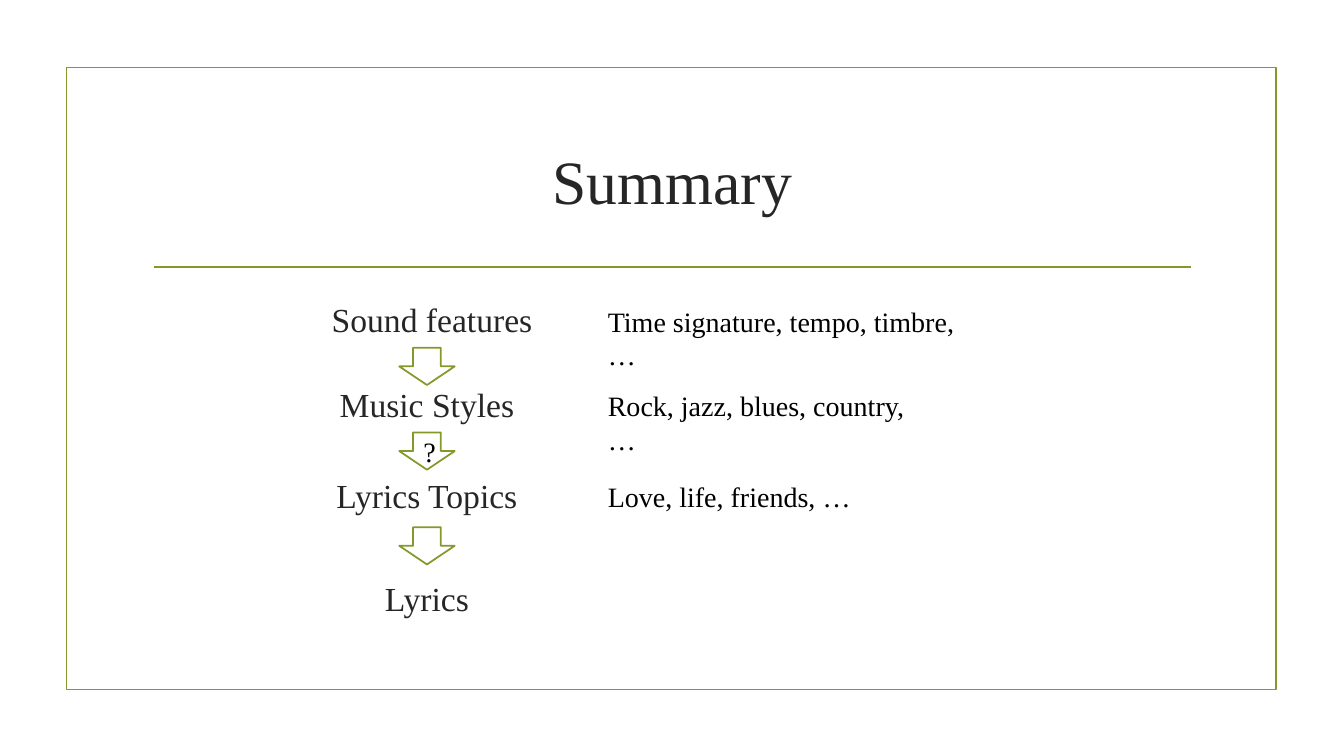
from dataclasses import dataclass

from pptx import Presentation
from pptx.dml.color import RGBColor
from pptx.enum.shapes import MSO_CONNECTOR as Line, MSO_SHAPE as Shape
from pptx.enum.text import MSO_ANCHOR as Anchor, PP_ALIGN as Align
from pptx.oxml.ns import qn
from pptx.util import Inches, Pt


@dataclass(frozen=True)
class Theme:
    font: str = "Times New Roman"
    green: RGBColor = RGBColor(0x83, 0x99, 0x2A)
    white: RGBColor = RGBColor(0xFF, 0xFF, 0xFF)
    dark: RGBColor = RGBColor(0x26, 0x26, 0x26)
    black: RGBColor = RGBColor(0, 0, 0)
    title: int = 44
    label: int = 24
    note: int = 20
    stroke: float = 1.25


THEME = Theme()

# Label, its left and top, note, note width
STEPS = [
    ("Sound features", 2.97, 2.92, "Time signature, tempo, timbre, …", 3.95),
    ("Music Styles", 2.92, 3.76, "Rock, jazz, blues, country, …", 3.43),
    ("Lyrics Topics", 2.92, 4.66, "Love, life, friends, …", 2.64),
    ("Lyrics", 2.92, 5.68, None, None),
]
ARROW_TOPS = [3.45, 4.29, 5.23]


def write(shape, text, size, color, align=Align.LEFT, anchor=Anchor.TOP):
    frame = shape.text_frame
    frame.word_wrap = True
    frame.vertical_anchor = anchor
    par = frame.paragraphs[0]
    par.alignment = align
    run = par.add_run()
    run.text = text
    run.font.name = THEME.font
    run.font.size = Pt(size)
    run.font.color.rgb = color


def add_text(slide, box, text, **style):
    shape = slide.shapes.add_textbox(*map(Inches, box))
    write(shape, text, **style)


def add_note(slide, box, text):
    add_text(slide, box, text, size=THEME.note, color=THEME.black)


def outline(shape):
    shape.line.color.rgb = THEME.green
    shape.line.width = Pt(THEME.stroke)


def add_frame(slide):
    frame = slide.shapes.add_shape(
        Shape.RECTANGLE, Inches(0.66), Inches(0.67), Inches(12), Inches(6.17))
    frame.shadow.inherit = False
    frame.fill.background()
    outline(frame)


def add_rule(slide):
    rule = slide.shapes.add_connector(
        Line.STRAIGHT, Inches(1.53), Inches(2.65), Inches(11.81), Inches(2.65))
    outline(rule)
    props = rule._element.spPr
    props.append(props.makeelement(qn("a:effectLst"), {}))


def add_arrow(slide, top):
    arrow = slide.shapes.add_shape(
        Shape.DOWN_ARROW, Inches(3.96), Inches(top), Inches(0.55), Inches(0.37))
    arrow.shadow.inherit = False
    arrow.fill.solid()
    arrow.fill.fore_color.rgb = THEME.white
    outline(arrow)


def set_title(slide, text):
    title = slide.shapes.title
    title.left, title.top = Inches(1.42), Inches(1.07)
    title.width, title.height = Inches(10.5), Inches(1.43)
    write(title, text, size=THEME.title, color=THEME.dark,
          align=Align.CENTER, anchor=Anchor.MIDDLE)


def main():
    deck = Presentation()
    deck.slide_width, deck.slide_height = Inches(13.33), Inches(7.5)
    slide = deck.slides.add_slide(deck.slide_layouts[5])

    add_frame(slide)
    add_rule(slide)
    set_title(slide, "Summary")
    for top in ARROW_TOPS:
        add_arrow(slide, top)
    for label, left, top, note, width in STEPS:
        add_text(slide, (left, top, 2.63, 0.53), label,
                 size=THEME.label, color=THEME.dark, align=Align.CENTER)
        if note:
            add_note(slide, (5.93, top + 0.05, width, 0.44), note)
    add_note(slide, (4.1, 4.26, 0.33, 0.44), "?")

    deck.save("out.pptx")


if __name__ == "__main__":
    main()
